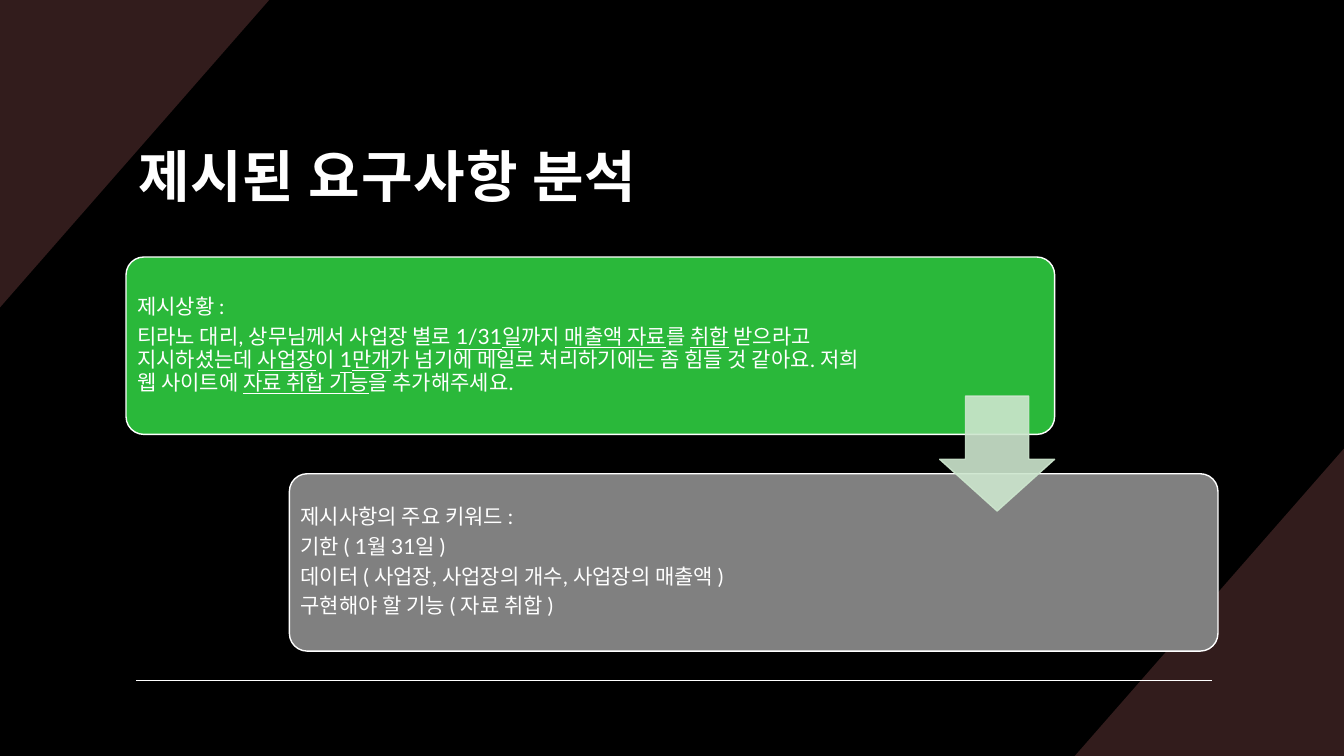
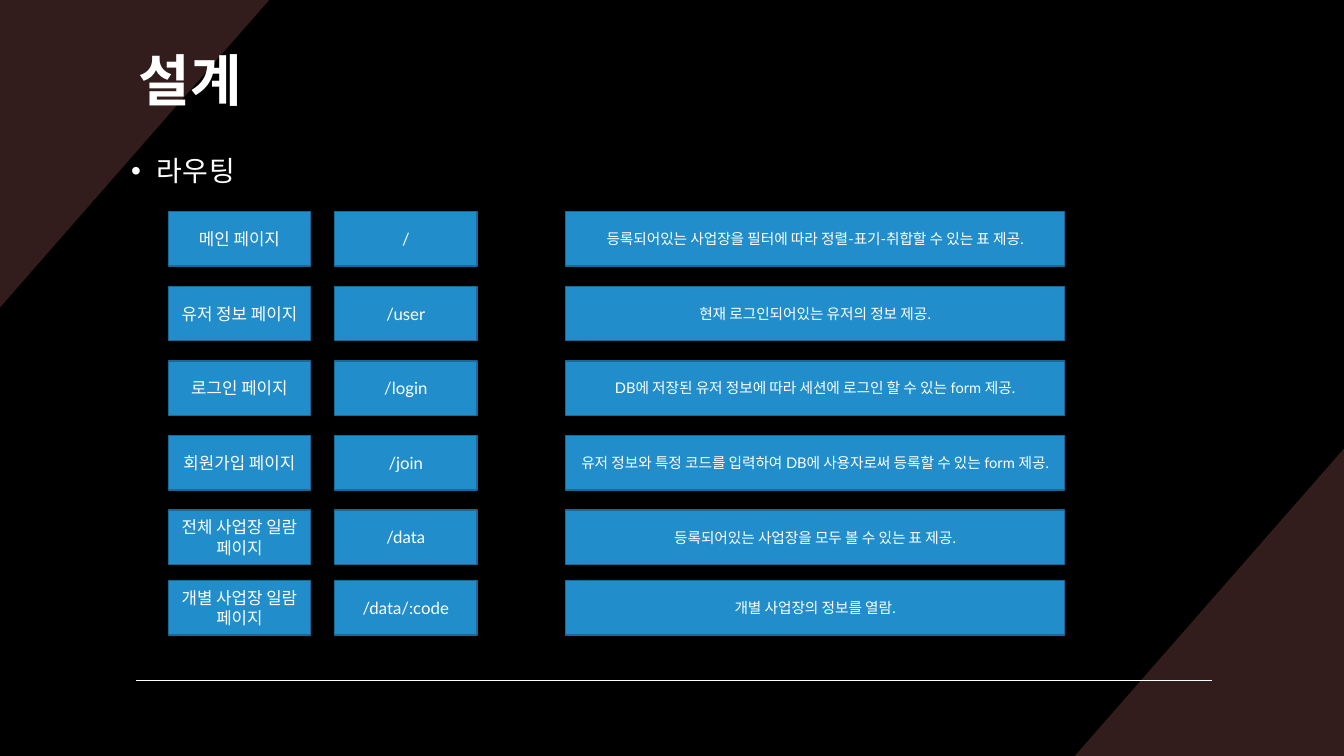
from dataclasses import dataclass
from typing import NamedTuple

from lxml.etree import SubElement
from pptx import Presentation
from pptx.dml.color import RGBColor
from pptx.enum.shapes import MSO_CONNECTOR, MSO_SHAPE
from pptx.enum.text import MSO_ANCHOR, MSO_AUTO_SIZE, PP_ALIGN
from pptx.oxml.ns import qn
from pptx.util import Emu, Pt

COLORS = {
    "background": "000000",
    "corner": "321C1C",
    "white": "FFFFFF",
    "situation": "2AB83A",
    "keywords": "808080",
    "arrow": "CDE6CE",
    "cell": "218ECB",
    "cell_line": "186996",
}
FONT = "Lato"
SLIDE_W, SLIDE_H = 1333, 750
CORNER_W, CORNER_H = 267, 305
PLACEHOLDER_INSETS = (12, 12, 12, 10)


class Box(NamedTuple):
    left: int
    top: int
    width: int
    height: int


@dataclass(frozen=True)
class Card:
    box: Box
    fill: str
    right_inset: int
    lines: tuple[str, ...]


@dataclass(frozen=True)
class Route:
    page: str
    url: str
    description: str


@dataclass(frozen=True)
class Column:
    field: str
    left: int
    width: int
    size: float


CARDS = (
    Card(Box(125, 255, 921, 176), "situation", 178, (
        "제시상황 :",
        "티라노 대리, 상무님께서 사업장 별로 _1/31일_까지 _매출액 자료_를 _취합_ 받으라고 "
        "지시하셨는데 _사업장_이 _1만개_가 넘기에 메일로 처리하기에는 좀 힘들 것 같아요. "
        "저희 웹 사이트에 _자료 취합 기능_을 추가해주세요.",
    )),
    Card(Box(287, 470, 921, 176), "keywords", 282, (
        "제시사항의 주요 키워드 :",
        "기한 ( 1월 31일 )",
        "데이터 ( 사업장, 사업장의 개수, 사업장의 매출액 )",
        "구현해야 할 기능 ( 자료 취합 )",
    )),
)
ROUTES = (
    Route("메인 페이지", "/", "등록되어있는 사업장을 필터에 따라 정렬-표기-취합할 수 있는 표 제공."),
    Route("유저 정보 페이지", "/user", "현재 로그인되어있는 유저의 정보 제공."),
    Route("로그인 페이지", "/login", "DB에 저장된 유저 정보에 따라 세션에 로그인 할 수 있는 form 제공."),
    Route("회원가입 페이지", "/join",
          "유저 정보와 특정 코드를 입력하여 DB에 사용자로써 등록할 수 있는 form 제공."),
    Route("전체 사업장 일람\n페이지", "/data", "등록되어있는 사업장을 모두 볼 수 있는 표 제공."),
    Route("개별 사업장 일람\n페이지", "/data/:code", "개별 사업장의 정보를 열람."),
)
COLUMNS = (
    Column("page", 167, 141, 12),
    Column("url", 332, 141, 12),
    Column("description", 561, 495, 10.5),
)
ROW_TOPS = (*range(210, 507, 74), 576)
ROW_H = 54


def px(n: int) -> Emu:
    return Emu(n * 9144)


def rgb(name: str) -> RGBColor:
    return RGBColor.from_string(COLORS[name])


def place(sp, box: Box) -> None:
    sp.left, sp.top, sp.width, sp.height = map(px, box)


def put_text(tf, lines, *, size: float, bold: bool | None = None, align=PP_ALIGN.LEFT,
             anchor=MSO_ANCHOR.MIDDLE, line: float = 1.0, before: float = 0,
             after: float = 0, spacing: int = 0, insets=(10, 5, 10, 5)) -> None:
    tf.word_wrap = True
    tf.auto_size = MSO_AUTO_SIZE.NONE
    tf.vertical_anchor = anchor
    tf.margin_left, tf.margin_top, tf.margin_right, tf.margin_bottom = map(px, insets)
    for i, text in enumerate(lines):
        p = tf.add_paragraph() if i else tf.paragraphs[0]
        p.alignment = align
        p.line_spacing = line
        p.space_before, p.space_after = Pt(before), Pt(after)
        for j, part in enumerate(text.split("_")):
            r = p.add_run()
            r.text = part
            r.font.name, r.font.size, r.font.bold = FONT, Pt(size), bold
            r.font.color.rgb = rgb("white")
            if j % 2:
                r.font.underline = True
            if spacing:
                r._r.get_or_add_rPr().set("spc", str(spacing))


def add_box(s, kind, box: Box, fill: str, line: str):
    sp = s.shapes.add_shape(kind, *map(px, box))
    sp.shadow.inherit = False
    sp.fill.solid()
    sp.fill.fore_color.rgb = rgb(fill)
    sp.line.color.rgb = rgb(line)
    sp.line.width = Pt(1)
    return sp


def add_corner(s, points):
    fb = s.shapes.build_freeform(*points[0], scale=px(1))
    fb.add_line_segments(points[1:], close=True)
    sp = fb.convert_to_shape()
    sp.shadow.inherit = False
    sp.fill.solid()
    sp.fill.fore_color.rgb = rgb("corner")
    sp.line.fill.background()
    return sp


def add_rule(s):
    ln = s.shapes.add_connector(MSO_CONNECTOR.STRAIGHT, px(135), px(675), px(1202), px(675))
    ln.line.color.rgb = rgb("white")
    ln.line.width = Pt(1)
    SubElement(ln._element.spPr, qn("a:effectLst"))
    return ln


def style_master(prs, s) -> None:
    master = prs.slide_master
    master.background.fill.solid()
    master.background.fill.fore_color.rgb = rgb("background")
    right, bottom = SLIDE_W, SLIDE_H
    parts = (
        add_corner(s, [(right, bottom - CORNER_H), (right, bottom), (right - CORNER_W, bottom)]),
        add_corner(s, [(0, CORNER_H), (0, 0), (CORNER_W, 0)]),
        add_rule(s),
    )
    for i, sp in enumerate(parts):
        sp._element.xpath(".//p:cNvPr")[0].set("id", str(100 + i))
        master.shapes.element.insert(2 + i, sp._element)


def set_title(s, text: str, top: int) -> None:
    place(s.shapes.title, Box(125, top, 1083, 149))
    put_text(s.shapes.title.text_frame, [text], size=40, bold=True, line=1.1, spacing=70,
             insets=PLACEHOLDER_INSETS)


def set_bullets(s, lines) -> None:
    body = s.placeholders[1]
    place(body, Box(118, 134, 1083, 522))
    put_text(body.text_frame, lines, size=20, anchor=MSO_ANCHOR.TOP, line=1.2, before=10,
             spacing=50, insets=PLACEHOLDER_INSETS)
    for p in body.text_frame.paragraphs:
        pPr = p._p.get_or_add_pPr()
        pPr.set("marL", str(px(25)))
        pPr.set("indent", str(px(-25)))
        SubElement(pPr, qn("a:buChar"), char="•")


def add_card(s, card: Card) -> None:
    sp = add_box(s, MSO_SHAPE.ROUNDED_RECTANGLE, card.box, card.fill, "white")
    sp.adjustments[0] = 0.1
    put_text(sp.text_frame, card.lines, size=15, line=0.9, after=5,
             insets=(6, 6, card.right_inset, 6))


def add_arrow(s) -> None:
    sp = add_box(s, MSO_SHAPE.DOWN_ARROW, Box(932, 393, 114, 114), "arrow", "arrow")
    sp.adjustments[0], sp.adjustments[1] = 0.55, 0.45
    for clr in sp._element.spPr.iter(qn("a:srgbClr")):
        SubElement(clr, qn("a:alpha"), val="90000")


def build_requirements(s) -> None:
    set_title(s, "제시된 요구사항 분석", 95)
    for card in CARDS:
        add_card(s, card)
    add_arrow(s)


def build_design(s) -> None:
    set_title(s, "설계", 0)
    set_bullets(s, ["라우팅"])
    for col in COLUMNS:
        for top, route in zip(ROW_TOPS, ROUTES):
            box = Box(col.left, top, col.width, ROW_H)
            sp = add_box(s, MSO_SHAPE.RECTANGLE, box, "cell", "cell_line")
            put_text(sp.text_frame, getattr(route, col.field).split("\n"), size=col.size,
                     align=PP_ALIGN.CENTER)


def main() -> None:
    prs = Presentation()
    prs.slide_width, prs.slide_height = px(SLIDE_W), px(SLIDE_H)
    title_only, title_body = prs.slide_layouts[5], prs.slide_layouts[1]
    requirements = prs.slides.add_slide(title_only)
    design = prs.slides.add_slide(title_body)
    style_master(prs, requirements)
    build_requirements(requirements)
    build_design(design)
    prs.save("out.pptx")


if __name__ == "__main__":
    main()
